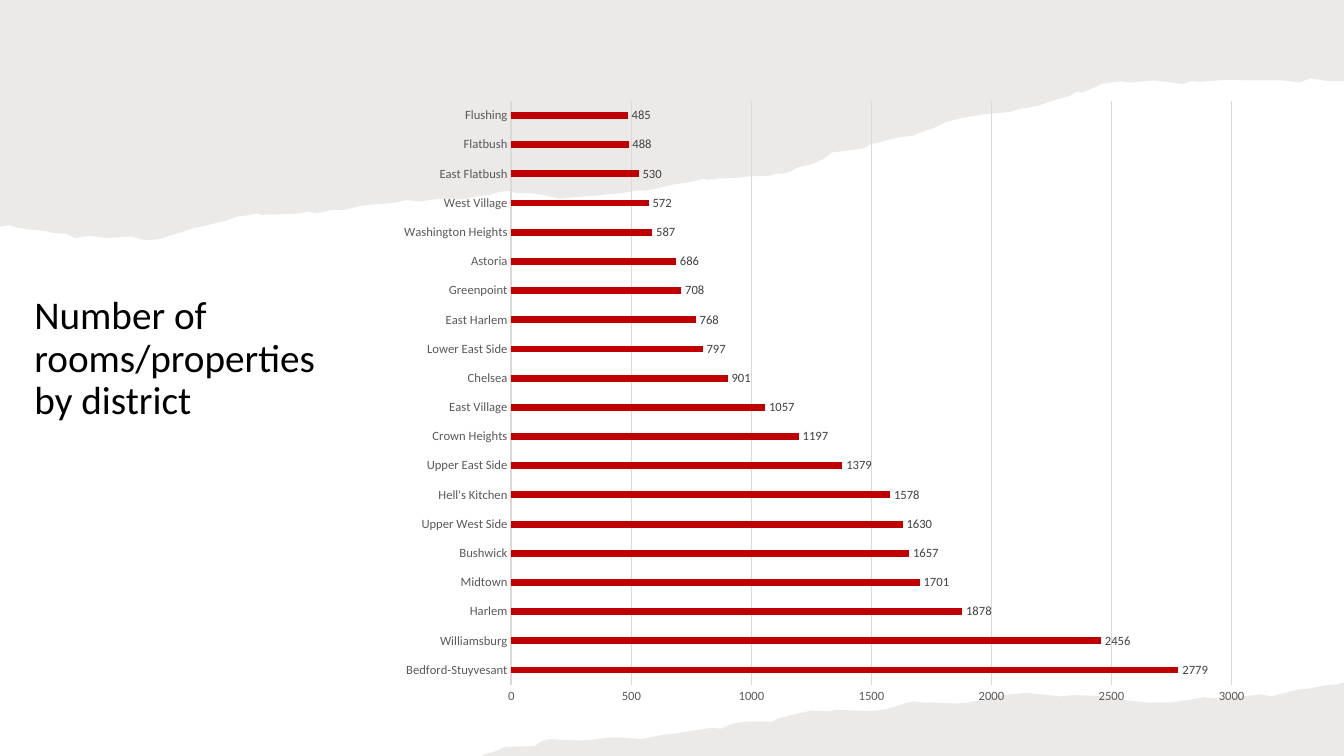
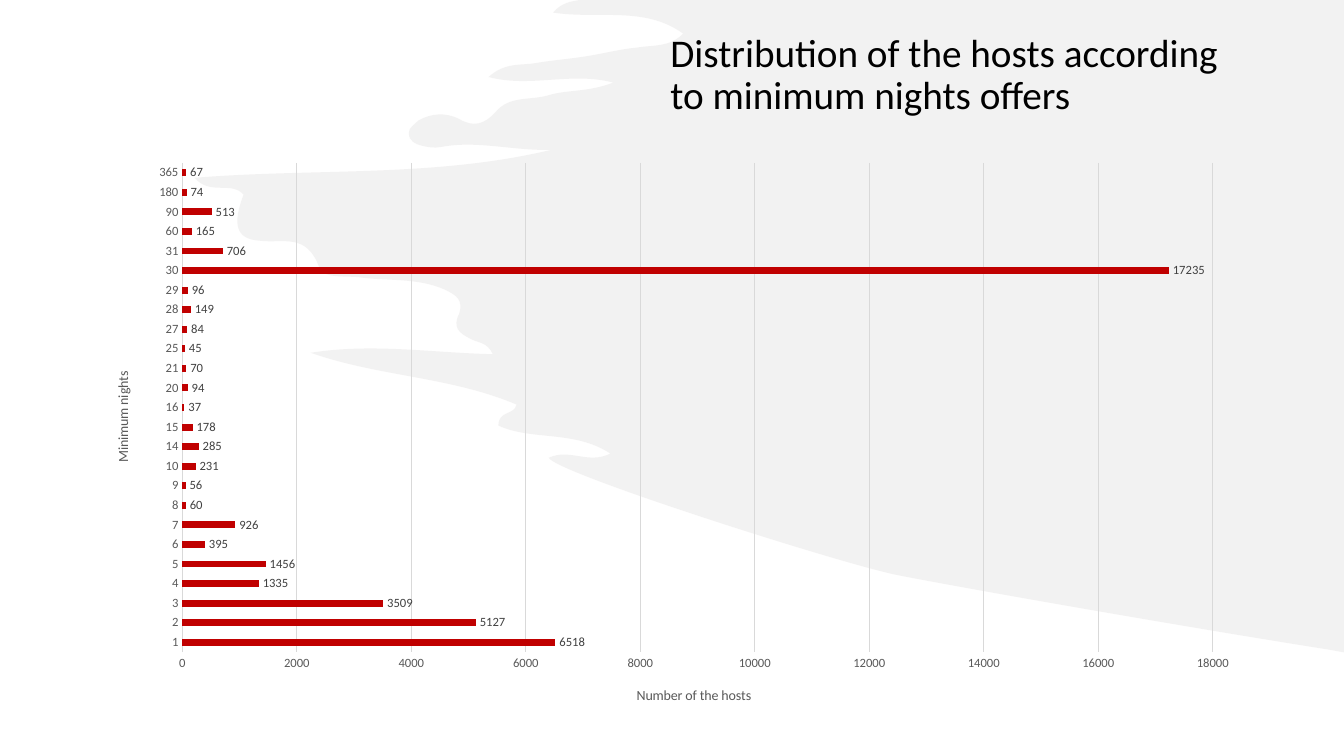
from lxml import etree
from pptx import Presentation
from pptx.chart.data import CategoryChartData
from pptx.dml.color import RGBColor
from pptx.enum.chart import XL_CHART_TYPE as ChartType, XL_LABEL_POSITION as LabelPos, XL_TICK_MARK as Tick
from pptx.enum.text import MSO_ANCHOR as Anchor
from pptx.oxml.ns import qn
from pptx.util import Pt

FONT = "Calibri"
BLACK = RGBColor(0x00, 0x00, 0x00)
RED = RGBColor(0xC0, 0x00, 0x00)
TAUPE = RGBColor(0x82, 0x76, 0x6A)
PALE = RGBColor(0xE7, 0xE6, 0xE6)
GRID = RGBColor(0xD9, 0xD9, 0xD9)
AXIS_TEXT = RGBColor(0x59, 0x59, 0x59)
LABEL_TEXT = RGBColor(0x40, 0x40, 0x40)
WIDTH, HEIGHT = 960, 540

TOP_TEAR = [
    (960, 58), (949, 58), (936, 56), (928, 59), (917, 57.5), (894, 57.5), (879, 57),
    (870, 57.5), (857, 58.5), (851, 58), (845, 60), (824, 57.5), (807, 59), (801, 58),
    (787, 60), (783, 62), (773, 66), (769, 65.5), (764, 68.5), (753, 71.5), (742, 75.5),
    (734, 77), (730, 77.5), (721, 80), (710, 81), (700, 82), (689, 84), (676, 87),
    (666, 92), (662, 93), (652, 97), (643, 98), (634, 100), (627, 102), (622, 103),
    (617, 106), (594, 109), (589, 113), (581, 117), (570, 119.5), (565, 122.5), (560, 124),
    (554, 124), (550, 125.5), (535, 126), (527, 127), (514, 127.5), (505, 128.5),
    (503, 127.5), (493, 130), (480, 132), (463, 136), (456, 136), (444, 138), (433, 139),
    (423, 140), (409, 141), (400, 142), (390, 140), (386, 139), (379, 138), (369, 138),
    (364, 136.5), (357, 137), (351, 139), (340, 140.5), (330, 142.5), (317, 142),
    (310, 142.5), (300, 144), (290, 143), (281, 145), (268, 146), (258, 147), (246, 150),
    (237, 150), (226, 152.5), (220, 151), (214, 152.5), (203, 153), (187, 153.5),
    (183, 152.5), (176, 154), (170, 154.5), (161, 158), (155, 159), (148, 161), (138, 163),
    (129, 166), (113, 171), (106, 171.5), (101, 171), (94, 169), (76, 170), (64, 168.5),
    (54, 170), (47, 167), (38, 166.5), (32, 165), (22, 164), (14, 163), (6, 161), (0, 162),
]
BOTTOM_TEAR = [
    (344, 540), (347, 538.5), (353, 537), (361, 533.5), (382, 533), (386, 530), (390, 528.5),
    (394, 528), (403, 528.5), (413, 529), (422, 528.5), (434, 527), (446, 527), (458, 528),
    (473, 525), (482, 524), (501, 521), (508, 520), (515, 520.5), (523, 517), (533, 515.5),
    (552, 515.5), (555, 513.5), (560, 512), (569, 510), (580, 507.5), (586, 508), (593, 508),
    (597, 507), (620, 508), (631, 507), (642, 504), (647, 502), (653, 501), (660, 502),
    (670, 502), (684, 502.5), (691, 502), (700, 500), (721, 496), (733, 495), (744, 496),
    (757, 497.5), (767, 496.5), (780, 497), (796, 498), (801, 500), (821, 502), (834, 502),
    (850, 500), (860, 498), (871, 499), (888, 497.5), (901, 496), (908, 497.5), (916, 495.5),
    (927, 492.5), (934, 492), (944, 490), (947, 489.5), (954, 489), (960, 487.5),
]
BRUSH_CORNERS = [(960, 466), (960, 0), (414, 0)]
BRUSH_CURVES = [
    (408, 1, 401, 2, 395, 9), (428, 14, 460, 4, 488, 24), (478, 34, 467, 32, 455, 34),
    (444, 35, 432, 38, 420, 40), (408, 42, 395, 43, 383, 45), (373, 47, 361, 44, 349, 55),
    (379, 63, 408, 51, 438, 59), (420, 66, 405, 64, 392, 68), (379, 72, 364, 68, 354, 80),
    (346, 89, 338, 91, 328, 85), (318, 80, 308, 81, 299, 86), (296, 89, 292, 91, 292, 95),
    (292, 101, 297, 103, 301, 104), (305, 105, 310, 106, 315, 105),
    (341, 100, 367, 108, 394, 107), (310, 127, 226, 120, 139, 127),
    (150, 140, 165, 129, 174, 139), (166, 160, 168, 171, 186, 172),
    (202, 174, 219, 166, 228, 191), (230, 199, 246, 197, 256, 198),
    (276, 201, 298, 198, 318, 207), (326, 211, 331, 214, 328, 224),
    (323, 234, 328, 238, 336, 242), (341, 245, 348, 244, 352, 253),
    (308, 252, 266, 245, 222, 252), (270, 269, 322, 269, 369, 289),
    (367, 297, 356, 293, 356, 304), (380, 315, 410, 307, 436, 324),
    (420, 332, 407, 320, 392, 327), (397, 338, 605, 404, 642, 411),
    (704, 423, 860, 450, 949, 464),
]

DISTRICTS = [
    ("Bedford-Stuyvesant", 2779), ("Williamsburg", 2456), ("Harlem", 1878),
    ("Midtown", 1701), ("Bushwick", 1657), ("Upper West Side", 1630),
    ("Hell's Kitchen", 1578), ("Upper East Side", 1379), ("Crown Heights", 1197),
    ("East Village", 1057), ("Chelsea", 901), ("Lower East Side", 797),
    ("East Harlem", 768), ("Greenpoint", 708), ("Astoria", 686),
    ("Washington Heights", 587), ("West Village", 572), ("East Flatbush", 530),
    ("Flatbush", 488), ("Flushing", 485),
]
NIGHTS = [
    ("1", 6518), ("2", 5127), ("3", 3509), ("4", 1335), ("5", 1456), ("6", 395),
    ("7", 926), ("8", 60), ("9", 56), ("10", 231), ("14", 285), ("15", 178),
    ("16", 37), ("20", 94), ("21", 70), ("25", 45), ("27", 84), ("28", 149),
    ("29", 96), ("30", 17235), ("31", 706), ("60", 165), ("90", 513), ("180", 74),
    ("365", 67),
]


def add_outline(s, corners, color, opacity, curves=()):
    controls = [c[i:i + 2] for c in curves for i in (0, 2, 4)]
    emu = [(Pt(x), Pt(y)) for x, y in corners + controls]
    builder = s.shapes.build_freeform(*emu[0])
    builder.add_line_segments(emu[1:], close=True)
    sp = builder.convert_to_shape()
    sp.shadow.inherit = False
    sp.line.fill.background()
    sp.fill.solid()
    sp.fill.fore_color.rgb = color
    clr = sp.fill._xPr.find(".//" + qn("a:srgbClr"))
    etree.SubElement(clr, qn("a:alpha"), val=str(opacity * 1000))
    lines = sp._element.findall(".//" + qn("a:lnTo"))[len(corners) - 1:]
    for i in range(0, len(controls), 3):
        bend = etree.Element(qn("a:cubicBezTo"))
        lines[i].addprevious(bend)
        for line in lines[i:i + 3]:
            bend.append(line[0])
            line.getparent().remove(line)


def set_font(font, size, color):
    font.name = FONT
    font.size = Pt(size)
    font.bold = False
    font.color.rgb = color


def add_text(s, text, box, size=28, color=BLACK):
    tf = s.shapes.add_textbox(*map(Pt, box)).text_frame
    tf.word_wrap = True
    tf.vertical_anchor = Anchor.MIDDLE
    p = tf.paragraphs[0]
    p.line_spacing = 0.9
    r = p.add_run()
    r.text = text
    set_font(r.font, size, color)


def set_layout(parent, index, target=None, **values):
    for old in parent.findall(qn("c:layout")):
        parent.remove(old)
    layout = etree.Element(qn("c:layout"))
    manual = etree.SubElement(layout, qn("c:manualLayout"))
    if target:
        etree.SubElement(manual, qn("c:layoutTarget"), val=target)
    for mode in ("xMode", "yMode"):
        etree.SubElement(manual, qn("c:" + mode), val="edge")
    for key, value in values.items():
        etree.SubElement(manual, qn("c:" + key), val=f"{value:.4f}")
    parent.insert(index, layout)


def add_axis_title(axis, text, frame, at, rotation=0):
    tf = axis.axis_title.text_frame
    tf.text = text
    set_font(tf.paragraphs[0].runs[0].font, 10, AXIS_TEXT)
    title = axis.axis_title._element
    title.find(".//" + qn("a:bodyPr")).set("rot", str(rotation * 60000))
    left, top, width, height = frame
    set_layout(title, 1, x=(at[0] - left) / width, y=(at[1] - top) / height)


def add_bars(s, rows, frame, plot_box, top_value, step, gap, overlap=0, axis_width=0.75):
    data = CategoryChartData()
    data.categories = [name for name, _ in rows]
    data.add_series("Series 1", [value for _, value in rows])
    chart = s.shapes.add_chart(ChartType.BAR_CLUSTERED, *map(Pt, frame), data).chart
    chart.has_legend = False
    chart.has_title = False
    set_font(chart.font, 10, BLACK)

    plot = chart.plots[0]
    plot.gap_width, plot.overlap = gap, overlap
    plot.vary_by_categories = False
    fill = plot.series[0].format.fill
    fill.solid()
    fill.fore_color.rgb = RED
    plot.has_data_labels = True
    labels = plot.data_labels
    labels.show_value = True
    labels.position = LabelPos.OUTSIDE_END
    set_font(labels.font, 9, LABEL_TEXT)

    cat, val = chart.category_axis, chart.value_axis
    for axis in (cat, val):
        axis.major_tick_mark = axis.minor_tick_mark = Tick.NONE
        set_font(axis.tick_labels.font, 9, AXIS_TEXT)
    cat.format.line.color.rgb = GRID
    cat.format.line.width = Pt(axis_width)
    val.format.line.fill.background()
    val.minimum_scale, val.maximum_scale, val.major_unit = 0, top_value, step
    val.has_major_gridlines = True
    val.major_gridlines.format.line.color.rgb = GRID
    val.major_gridlines.format.line.width = Pt(0.75)

    left, top, width, height = frame
    x, y, w, h = plot_box
    area = chart._chartSpace.find(".//" + qn("c:plotArea"))
    set_layout(area, 0, "inner", x=(x - left) / width, y=(y - top) / height,
               w=w / width, h=h / height)
    return chart


def district_slide(s):
    add_outline(s, [(0, 0), (WIDTH, 0)] + TOP_TEAR, TAUPE, 15)
    add_text(s, "Number of rooms/properties by district", (17.5, 41.5, 238.3, 430.5))
    add_outline(s, BOTTOM_TEAR + [(WIDTH, HEIGHT)], TAUPE, 15)
    add_bars(s, DISTRICTS, (-24.5, 52.5, 952.5, 476), (365.3, 72.1, 514.4, 417),
             3000, 500, gap=326, overlap=-58, axis_width=1.5)


def nights_slide(s):
    add_outline(s, BRUSH_CORNERS, PALE, 50, BRUSH_CURVES)
    add_text(s, "Distribution of the hosts according to minimum nights offers",
             (471.8, 22.2, 422, 64))
    frame = (66.2, 108, 828, 410.4)
    chart = add_bars(s, NIGHTS, frame, (130.3, 116.4, 736, 349.4), 18000, 2000, gap=182)
    add_axis_title(chart.category_axis, "Minimum nights", frame, (79.5, 263.5), rotation=-90)
    add_axis_title(chart.value_axis, "Number of the hosts", frame, (453, 488.5))


def main():
    prs = Presentation()
    prs.slide_width, prs.slide_height = Pt(WIDTH), Pt(HEIGHT)
    for build in (district_slide, nights_slide):
        build(prs.slides.add_slide(prs.slide_layouts[6]))
    prs.save("out.pptx")


if __name__ == "__main__":
    main()
